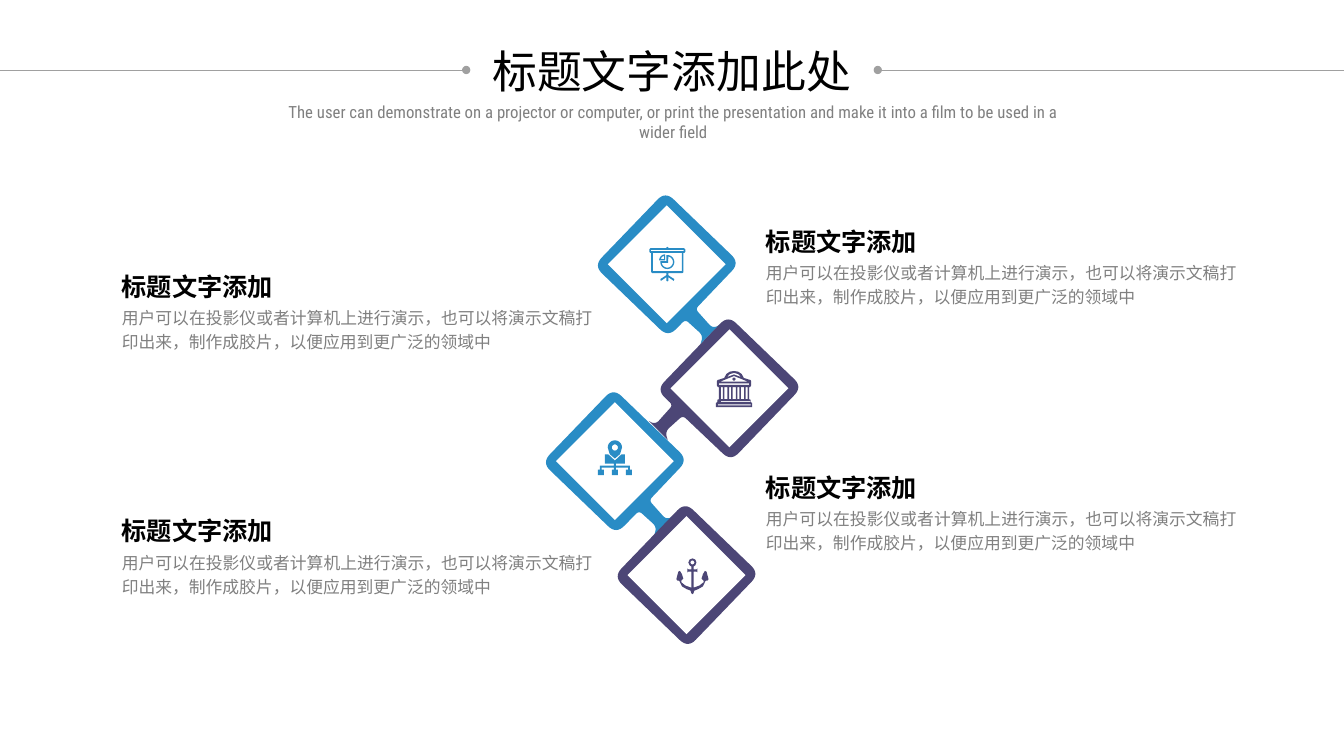
from dataclasses import dataclass
from math import cos, hypot, radians, sin

from lxml.etree import SubElement
from pptx import Presentation
from pptx.dml.color import RGBColor
from pptx.enum.shapes import MSO_CONNECTOR, MSO_SHAPE
from pptx.enum.text import MSO_AUTO_SIZE, PP_ALIGN
from pptx.oxml.ns import qn
from pptx.util import Pt


@dataclass(frozen=True)
class Theme:
    blue: str = "298CC5"
    purple: str = "4C4676"
    white: str = "FFFFFF"
    black: str = "000000"
    gray: str = "808080"
    rule: str = "A0A0A0"
    title_font: str = "Roboto Condensed"
    body_font: str = "Arial"
    title_size: int = 32
    heading_size: int = 18
    body_size: int = 12


THEME = Theme()
SUBTITLE = ("The user can demonstrate on a projector or computer, or print the presentation "
            "and make it into a film to be used in a wider field")
HEADING = "标题文字添加"
BODY = "用户可以在投影仪或者计算机上进行演示，也可以将演示文稿打印出来，制作成胶片，以便应用到更广泛的领域中"
NOTE_POSITIONS = [(540, 181.4), (540, 357.1), (79.9, 213.1), (79.9, 388.1)]

RIGHT_CORNER, BOTTOM_CORNER = (52, -1, 8), (1, 52, 8)
LEFT_CORNER, TOP_CORNER = (-52, 1, 8), (-1, -52, 8)
LINK = [(20.5, 32, 3), (33, 46, 4), (37.8, 43.2, 0),
        (24.1, 56.9, 0), (26, 51, 4), (13.3, 39.5, 3)]
INNER_SIZE = 84.2


def arc(x, y, radius, start=0, end=360):
    steps = 24
    angles = [radians(start + (end - start) * i / steps) for i in range(steps + 1)]
    return [(x + radius * cos(a), y + radius * sin(a)) for a in angles]


def box(left, top, right, bottom):
    return [(left, top), (right, top), (right, bottom), (left, bottom)]


def symmetric(half):
    return half + [(-x, y) for x, y in reversed(half)]


def rounded(corners):
    points = []
    for i, (x, y, radius) in enumerate(corners):
        if not radius:
            points.append((x, y))
            continue
        cuts = []
        for other_x, other_y, _ in (corners[i - 1], corners[(i + 1) % len(corners)]):
            ratio = radius / hypot(other_x - x, other_y - y)
            cuts.append((x + (other_x - x) * ratio, y + (other_y - y) * ratio))
        (ax, ay), (bx, by) = cuts
        for t in (step / 8 for step in range(9)):
            points.append(((1 - t) ** 2 * ax + 2 * t * (1 - t) * x + t * t * bx,
                           (1 - t) ** 2 * ay + 2 * t * (1 - t) * y + t * t * by))
    return points


def frame_outline(link_side, slide_by):
    link = [(x + slide_by, y - slide_by, radius) for x, y, radius in LINK]
    if link_side == "right":
        before, after = link, []
    elif link_side == "left":
        before, after = [], [(-x, y, radius) for x, y, radius in reversed(link)]
    else:
        before, after = [], []
    return rounded([TOP_CORNER, RIGHT_CORNER, *before, BOTTOM_CORNER, *after, LEFT_CORNER])


def screen_icon():
    stand = [(0, 0), (0.7, 0.3), (0.7, 0.9), (12, 0.9), (12.9, 1.8), (12.9, 3.4), (12.2, 4.3),
             (11.5, 4.3), (11.5, 18), (10.8, 18.7), (0.7, 18.7), (0.7, 20.2), (5, 23),
             (4.6, 24.3), (0.7, 21.6), (0.7, 24.3), (0, 24.6)]
    return [symmetric(stand), box(-10.4, 4.3, 10.4, 17.3), box(-11.7, 2.1, 11.7, 3),
            arc(0, 10.8, 5, -90, 180) + [(-5, 10.1), (-0.7, 10.1), (-0.7, 5.8)],
            arc(0, 10.8, 4, -80, 170) + [(0.6, 11.4)],
            arc(-1.5, 9.6, 4.3, 180, 270) + [(-1.5, 9.6)],
            arc(-2.3, 8.8, 2.2, 180, 270) + [(-2.3, 8.8)]]


def building_icon():
    facade = [(0, 0), (3, 0.5), (5.5, 2.2), (7, 5), (11.8, 6.5), (12.2, 7.2), (12.2, 10.4),
              (11.5, 11.5), (10.8, 11.5), (10.8, 20.2), (11.8, 20.5), (12, 22.3),
              (13, 22.8), (13, 25.9)]
    dome = [(0, 1.4), (3, 2.2), (5, 4.3), (0, 2.5)]
    gaps = []
    for i in range(7):
        center, half_width = -8.7 + 2.95 * i, 1.1 if i % 2 else 0.7
        gaps.append(box(center - half_width, 11.5, center + half_width, 20.2))
    return [symmetric(facade), symmetric(dome), [(0, 3.6), (10.1, 7.7), (-10.1, 7.7)],
            arc(0, 5.8, 1.1), box(-10.8, 8.8, 10.8, 10), *gaps,
            box(-9.4, 21.6, 12, 22.3), box(-11.5, 23.8, 12, 24.5)]


def location_icon():
    network = [(0, 14.4), (4.7, 10), (7.2, 10), (7.2, 16.6), (0.7, 16.6), (0.7, 18), (10.8, 18),
               (10.8, 20.9), (12.2, 20.9), (12.2, 24.9), (7.9, 24.9), (7.9, 20.9), (9.4, 20.9),
               (9.4, 19.4), (0.7, 19.4), (0.7, 20.9), (2.1, 20.9), (2.1, 24.9)]
    pin = arc(0, 5.1, 5.1, 180, 360) + [(3.7, 9.8), (0, 13), (-3.7, 9.8)]
    return [symmetric(network), pin, arc(0, 5.1, 2.2)]


def anchor_icon():
    half = [(0, 0), (2, 0.8), (2.9, 2.9), (2, 5), (0.8, 5.8), (0.8, 7.9), (2.9, 7.8), (3.6, 7.2),
            (3.6, 10), (2.9, 9.4), (0.8, 9.4), (0.8, 20.9), (5, 19.4), (8, 17), (7.9, 15.8),
            (6.5, 14.4), (7.6, 11), (9, 8.9), (10.1, 9.5), (11.5, 14.8), (10.8, 15.8), (9.4, 16),
            (7.5, 20), (4, 22), (1.4, 23), (0.7, 25), (0, 25.5)]
    return [symmetric(half), arc(0, 2.9, 1.4)]


def paint(shape, color):
    shape.fill.solid()
    shape.fill.fore_color.rgb = RGBColor.from_string(color)
    shape.line.fill.background()
    shape.shadow.inherit = False


def add_outline(slide, contours, x, y, color):
    placed = [[(Pt(x + px), Pt(y + py)) for px, py in contour] for contour in contours]
    builder = slide.shapes.build_freeform(*placed[0][0])
    for i, contour in enumerate(placed):
        if i:
            builder.move_to(*contour[0])
        builder.add_line_segments(contour[1:], close=True)
    paint(builder.convert_to_shape(), color)


def add_tile(slide, x, y, color, link_side=None, slide_by=0):
    add_outline(slide, [frame_outline(link_side, slide_by)], x, y, color)
    diamond = slide.shapes.add_shape(
        MSO_SHAPE.DIAMOND, Pt(x - INNER_SIZE / 2), Pt(y - INNER_SIZE / 2),
        Pt(INNER_SIZE), Pt(INNER_SIZE))
    paint(diamond, THEME.white)


def add_text(shapes, text, left, top, width, height, *, size, color, font,
             align=PP_ALIGN.CENTER, bold=False, spacing=None, wrap=True):
    frame = shapes.add_textbox(Pt(left), Pt(top), Pt(width), Pt(height)).text_frame
    frame.word_wrap = wrap
    frame.auto_size = MSO_AUTO_SIZE.SHAPE_TO_FIT_TEXT
    paragraph = frame.paragraphs[0]
    paragraph.alignment = align
    paragraph.line_spacing = spacing
    run = paragraph.add_run()
    run.text = text
    run.font.size = Pt(size)
    run.font.bold = bold
    run.font.name = font
    run.font.color.rgb = RGBColor.from_string(color)


def add_note(slide, left, top):
    shapes = slide.shapes.add_group_shape().shapes
    style = {"font": THEME.body_font, "align": PP_ALIGN.JUSTIFY, "spacing": 1.2}
    add_text(shapes, BODY, left, top, 350.6, 42.5,
             size=THEME.body_size, color=THEME.gray, **style)
    add_text(shapes, HEADING, left, top - 27.5, 164.2, 33.8,
             size=THEME.heading_size, color=THEME.black, bold=True, **style)


def add_title_rule(slide, start, end, dot_end):
    connector = slide.shapes.add_connector(
        MSO_CONNECTOR.STRAIGHT, Pt(start), Pt(50), Pt(end), Pt(50))
    connector.line.color.rgb = RGBColor.from_string(THEME.rule)
    connector.line.width = Pt(0.5)
    SubElement(connector.line._get_or_add_ln(), qn(f"a:{dot_end}"), type="oval")
    SubElement(connector._element.spPr, qn("a:effectLst"))


def main():
    presentation = Presentation()
    presentation.slide_width, presentation.slide_height = Pt(960), Pt(540)
    slide = presentation.slides.add_slide(presentation.slide_layouts[6])
    add_tile(slide, 476.3, 188.8, THEME.blue, "right")
    add_tile(slide, 439.2, 329.4, THEME.blue, "right", 4)
    add_tile(slide, 490.4, 410.8, THEME.purple)
    add_tile(slide, 521.1, 277.4, THEME.purple, "left", 20)
    add_outline(slide, location_icon(), 439.2, 314.6, THEME.blue)
    add_outline(slide, screen_icon(), 476.7, 176.4, THEME.blue)
    add_outline(slide, building_icon(), 524.3, 265, THEME.purple)
    add_outline(slide, anchor_icon(), 494.6, 398.9, THEME.purple)
    add_title_rule(slide, 0, 333, "tailEnd")
    add_title_rule(slide, 627, 960, "headEnd")
    add_text(slide.shapes, "标题文字添加此处", 343.4, 27.4, 272.9, 46.1, wrap=False,
             size=THEME.title_size, color=THEME.black, font=THEME.title_font)
    add_text(slide.shapes, SUBTITLE, 198, 69.1, 565.9, 21.6,
             size=THEME.body_size, color=THEME.gray, font=THEME.title_font)
    for left, top in NOTE_POSITIONS:
        add_note(slide, left, top)
    presentation.save("out.pptx")


if __name__ == "__main__":
    main()
